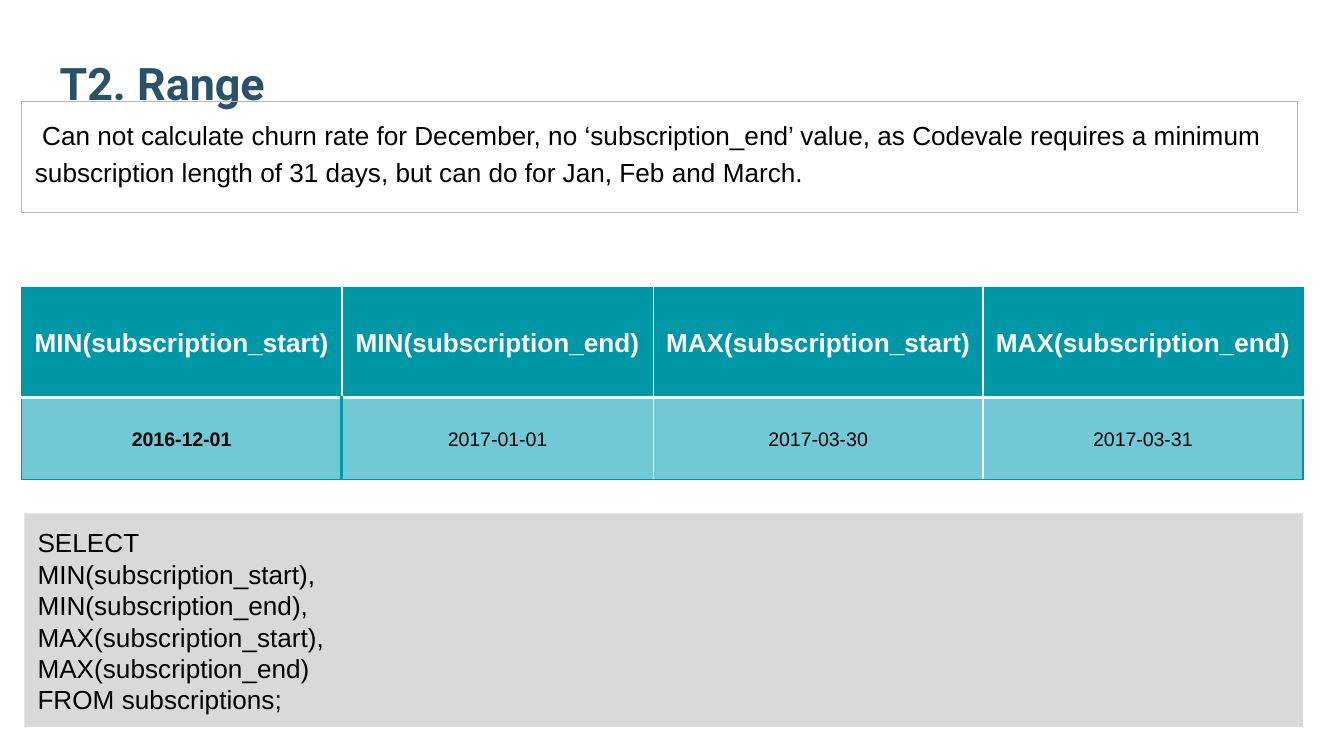
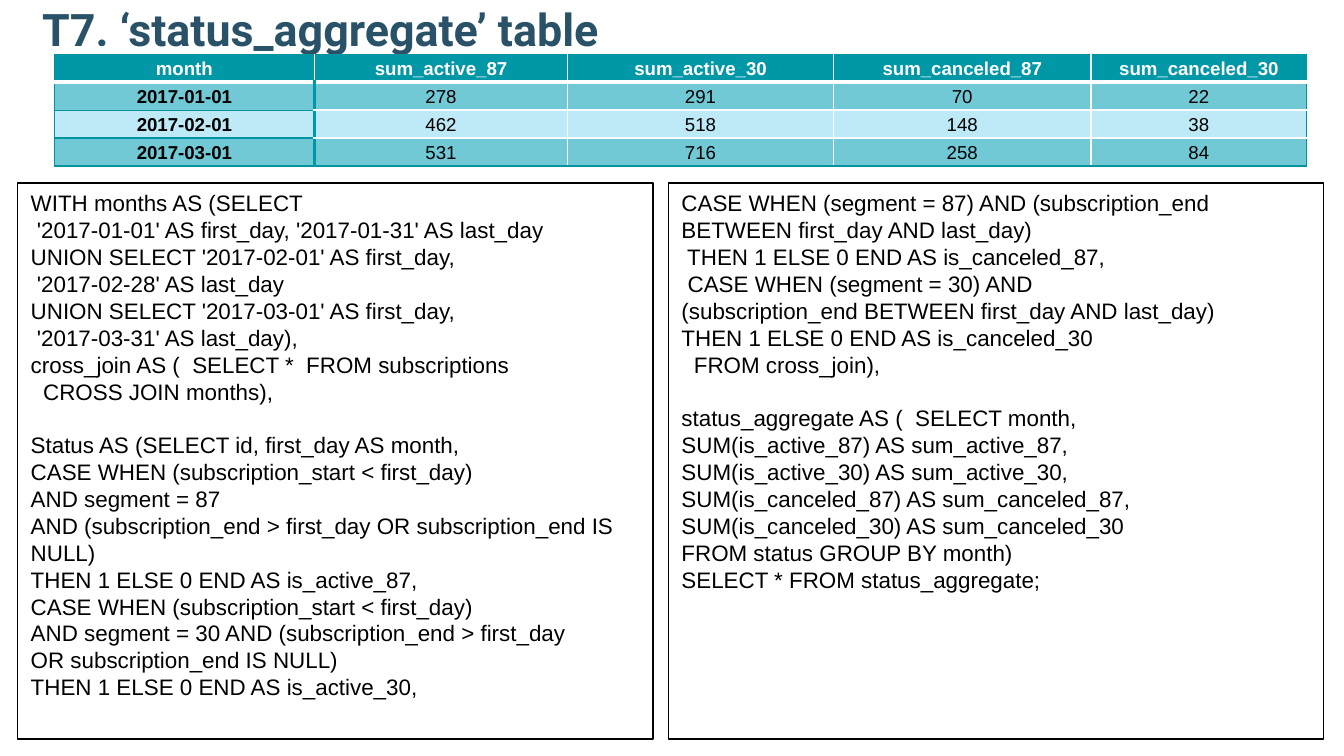
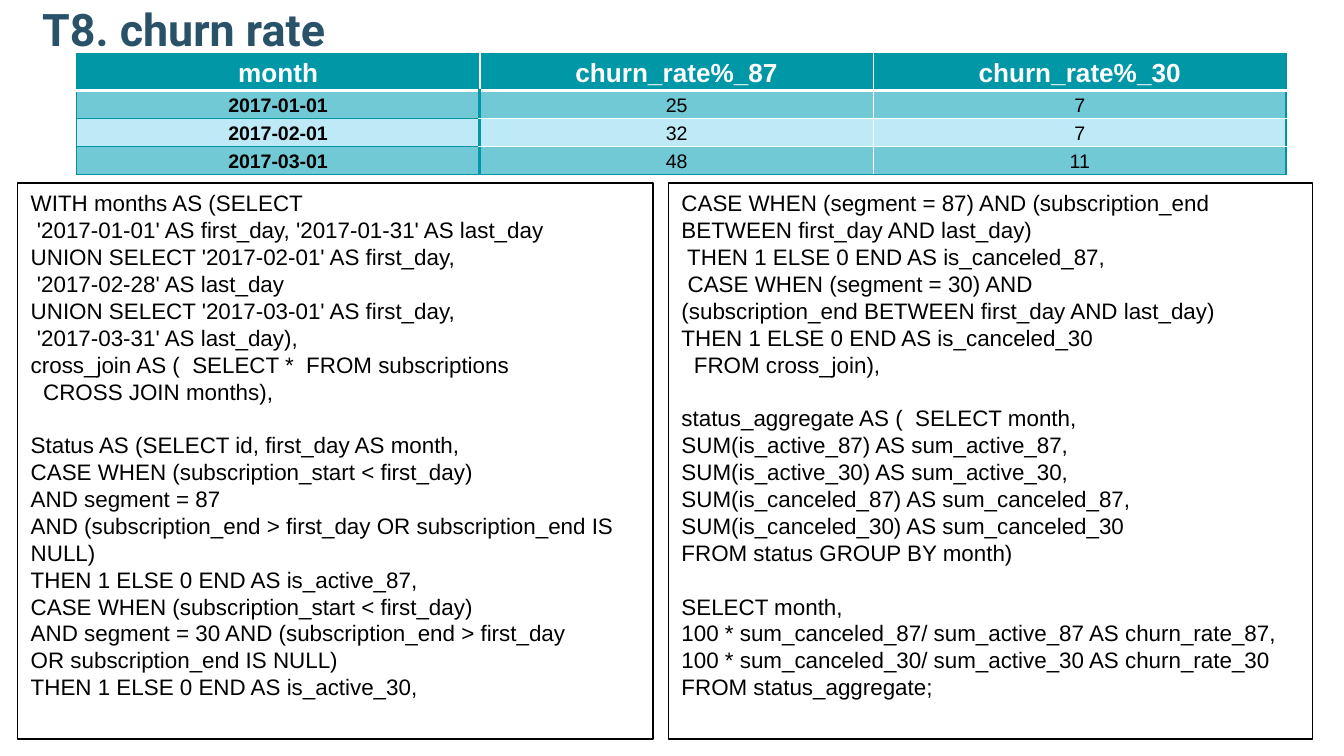
from dataclasses import dataclass
from typing import Optional

from lxml.etree import SubElement
from pptx import Presentation
from pptx.dml.color import RGBColor
from pptx.enum.shapes import MSO_SHAPE
from pptx.enum.text import MSO_ANCHOR, MSO_AUTO_SIZE, PP_ALIGN
from pptx.oxml.ns import qn
from pptx.util import Pt

COLORS = {
    "title": "295269",
    "text": "000000",
    "white": "FFFFFF",
    "code_fill": "D9D9D9",
    "note_line": "B7B7B7",
    "header": "0097A7",
    "grid": "0094A3",
    "band_dark": "71C9D6",
    "band_light": "BDEAF6",
}
TITLE_ONLY = 5
INSET = 7.2
CODE_GAP = 14.4


@dataclass
class Frame:
    left: float
    top: float
    width: float
    height: float

    def lengths(self) -> tuple:
        return Pt(self.left), Pt(self.top), Pt(self.width), Pt(self.height)


@dataclass
class Grid:
    left: float
    top: float
    columns: list[float]
    row_heights: list[float]
    header_size: float
    body_size: float
    rows: list[list[str]]


UPPER_TITLE = Frame(9.4, 0, 561.6, 37)
LEFT_CODE = Frame(9.4, 98, 340.5, 298)

MONTHS_CODE = """WITH months AS (SELECT
 '2017-01-01' AS first_day, '2017-01-31' AS last_day
UNION SELECT '2017-02-01' AS first_day,
 '2017-02-28' AS last_day
UNION SELECT '2017-03-01' AS first_day,
 '2017-03-31' AS last_day),
cross_join AS (  SELECT *  FROM subscriptions
  CROSS JOIN months),"""

ACTIVE_CODE = """Status AS (SELECT id, first_day AS month,
CASE WHEN (subscription_start < first_day)
AND segment = 87
AND (subscription_end > first_day OR subscription_end IS NULL)
THEN 1 ELSE 0 END AS is_active_87,
CASE WHEN (subscription_start < first_day)
AND segment = 30 AND (subscription_end > first_day
OR subscription_end IS NULL)
THEN 1 ELSE 0 END AS is_active_30,"""

CANCELED_CODE = """CASE WHEN (segment = 87) AND (subscription_end
BETWEEN first_day AND last_day)
 THEN 1 ELSE 0 END AS is_canceled_87,
 CASE WHEN (segment = 30) AND
(subscription_end BETWEEN first_day AND last_day)
THEN 1 ELSE 0 END AS is_canceled_30
  FROM cross_join),"""

AGGREGATE_CODE = """status_aggregate AS (  SELECT month,
SUM(is_active_87) AS sum_active_87,
SUM(is_active_30) AS sum_active_30,
SUM(is_canceled_87) AS sum_canceled_87,
SUM(is_canceled_30) AS sum_canceled_30
FROM status GROUP BY month)"""

SELECT_AGGREGATE_CODE = "SELECT * FROM status_aggregate;"

CHURN_CODE = """SELECT month,
100 * sum_canceled_87/ sum_active_87 AS churn_rate_87,
100 * sum_canceled_30/ sum_active_30 AS churn_rate_30
FROM status_aggregate;"""

RANGE_CODE = """SELECT
MIN(subscription_start),
MIN(subscription_end),
MAX(subscription_start),
MAX(subscription_end)
FROM subscriptions;"""

RANGE_NOTE = (
    "Can not calculate churn rate for December, no ‘subscription_end’ value, "
    "as Codevale requires a minimum subscription length of 31 days, "
    "but can do for Jan, Feb and March."
)

RANGE_GRID = Grid(
    11.6, 154, [171.5, 167, 176.5, 171.5], [59, 44], 14, 10.5,
    [
        ["MIN(subscription_start)", "MIN(subscription_end)",
         "MAX(subscription_start)", "MAX(subscription_end)"],
        ["2016-12-01", "2017-01-01", "2017-03-30", "2017-03-31"],
    ],
)
STATUS_GRID = Grid(
    29, 29, [139.5, 135.5, 142.5, 138, 115.5], [15] * 4, 10, 10,
    [
        ["month", "sum_active_87", "sum_active_30", "sum_canceled_87", "sum_canceled_30"],
        ["2017-01-01", "278", "291", "70", "22"],
        ["2017-02-01", "462", "518", "148", "38"],
        ["2017-03-01", "531", "716", "258", "84"],
    ],
)
CHURN_GRID = Grid(
    41, 28.6, [216, 211, 221], [20] + [15] * 3, 14, 10.5,
    [
        ["month", "churn_rate%_87", "churn_rate%_30"],
        ["2017-01-01", "25", "7"],
        ["2017-02-01", "32", "7"],
        ["2017-03-01", "48", "11"],
    ],
)


def color(name: str) -> RGBColor:
    return RGBColor.from_string(COLORS[name])


def write(text_frame, text: str, *, size: float, font: str = "Arial", ink: str = "text",
          bold: bool = False, align=PP_ALIGN.LEFT, spacing: float = 1.0,
          indent: float = 0, add: bool = False) -> None:
    """Write one paragraph per line; with add, continue below after a gap."""
    for number, line in enumerate(text.split("\n")):
        fresh = add or number > 0
        para = text_frame.add_paragraph() if fresh else text_frame.paragraphs[0]
        para.alignment = align
        para.line_spacing = spacing
        para.space_before = Pt(CODE_GAP if add and number == 0 else 0)
        if indent:
            para._p.get_or_add_pPr().set("indent", str(Pt(indent)))
        span = para.add_run()
        span.text = line
        span.font.size = Pt(size)
        span.font.name = font
        span.font.bold = bold
        span.font.color.rgb = color(ink)


def prepare(text_frame, anchor, vertical: float, left: float = INSET) -> None:
    """Set wrapping, anchor and insets of a text frame."""
    text_frame.word_wrap = True
    text_frame.auto_size = MSO_AUTO_SIZE.NONE
    text_frame.vertical_anchor = anchor
    text_frame.margin_left, text_frame.margin_right = Pt(left), Pt(INSET)
    text_frame.margin_top = text_frame.margin_bottom = Pt(vertical)


def add_page(deck, title: str, frame: Frame):
    page = deck.slides.add_slide(deck.slide_layouts[TITLE_ONLY])
    heading = page.shapes.title
    heading.left, heading.top, heading.width, heading.height = frame.lengths()
    prepare(heading.text_frame, MSO_ANCHOR.BOTTOM, INSET, left=INSET + 6)
    write(heading.text_frame, title, size=24, font="Roboto", ink="title", bold=True)
    return page


def add_box(page, frame: Frame, *, fill: Optional[str] = None,
            line: Optional[str] = None, vertical: float = INSET):
    box = page.shapes.add_shape(MSO_SHAPE.RECTANGLE, *frame.lengths())
    box.shadow.inherit = False
    if fill:
        box.fill.solid()
        box.fill.fore_color.rgb = color(fill)
    else:
        box.fill.background()
    if line:
        box.line.color.rgb = color(line)
        box.line.width = Pt(0.75)
    else:
        box.line.fill.background()
    prepare(box.text_frame, MSO_ANCHOR.TOP, vertical)
    return box.text_frame


def add_code(page, frame: Frame, blocks: list[str]) -> None:
    text_frame = add_box(page, frame, line="text", vertical=3.6)
    for number, block in enumerate(blocks):
        write(text_frame, block, size=12, add=number > 0)


def set_border(cell, side: str, ink: str, width: float) -> None:
    border = SubElement(cell._tc.get_or_add_tcPr(), qn(f"a:ln{side}"), w=str(Pt(width)))
    fill = SubElement(border, qn("a:solidFill"))
    SubElement(fill, qn("a:srgbClr"), val=COLORS[ink])


def format_cell(cell, row: int, column: int) -> None:
    """Draw the borders, then the fill, by place in the table."""
    header, first = row == 0, column == 0
    if first:
        set_border(cell, "L", "grid", 0.75)
    heavy = first and not header
    set_border(cell, "R", "header" if heavy else "grid", 2 if heavy else 0.75)
    if header or first:
        set_border(cell, "T", "grid", 0.75)
    set_border(cell, "B", "white" if header else "grid", 2 if header else 0.75)
    cell.fill.solid()
    band = "band_dark" if row % 2 else "band_light"
    cell.fill.fore_color.rgb = color("header" if header else band)
    cell.vertical_anchor = MSO_ANCHOR.MIDDLE
    cell.margin_left = cell.margin_right = Pt(0.72)
    cell.margin_top = cell.margin_bottom = Pt(0.72)


def add_grid(page, grid: Grid) -> None:
    frame = Frame(grid.left, grid.top, sum(grid.columns), sum(grid.row_heights))
    table = page.shapes.add_table(len(grid.rows), len(grid.columns), *frame.lengths()).table
    table.first_row = table.horz_banding = False
    for column, width in enumerate(grid.columns):
        table.columns[column].width = Pt(width)
    for row, values in enumerate(grid.rows):
        table.rows[row].height = Pt(grid.row_heights[row])
        for column, value in enumerate(values):
            cell = table.cell(row, column)
            format_cell(cell, row, column)
            write(cell.text_frame, value,
                  size=grid.body_size if row else grid.header_size,
                  ink="text" if row else "white",
                  bold=row == 0 or column == 0,
                  align=PP_ALIGN.CENTER, spacing=1.07)


def add_range_page(deck) -> None:
    page = add_page(deck, "T2. Range", Frame(18.7, 23.8, 664, 41.8))
    code = add_box(page, Frame(13, 275, 685, 114.5), fill="code_fill")
    write(code, RANGE_CODE, size=14)
    note = add_box(page, Frame(11.6, 54.5, 683.4, 59.5), line="note_line")
    write(note, RANGE_NOTE, size=14, spacing=1.15, indent=3.9)
    add_grid(page, RANGE_GRID)


def add_query_page(deck, title: str, grid: Grid, right_width: float,
                   right_blocks: list[str]) -> None:
    page = add_page(deck, title, UPPER_TITLE)
    add_grid(page, grid)
    add_code(page, LEFT_CODE, [MONTHS_CODE, ACTIVE_CODE])
    right_code = Frame(358, LEFT_CODE.top, right_width, LEFT_CODE.height)
    add_code(page, right_code, right_blocks)


def main() -> None:
    deck = Presentation()
    deck.slide_width, deck.slide_height = Pt(720), Pt(405)
    add_range_page(deck)
    add_query_page(deck, "T7. ‘status_aggregate’ table", STATUS_GRID, 351,
                   [CANCELED_CODE, AGGREGATE_CODE + "\n" + SELECT_AGGREGATE_CODE])
    add_query_page(deck, "T8. churn rate", CHURN_GRID, 345,
                   [CANCELED_CODE, AGGREGATE_CODE, CHURN_CODE])
    deck.save("out.pptx")


if __name__ == "__main__":
    main()
